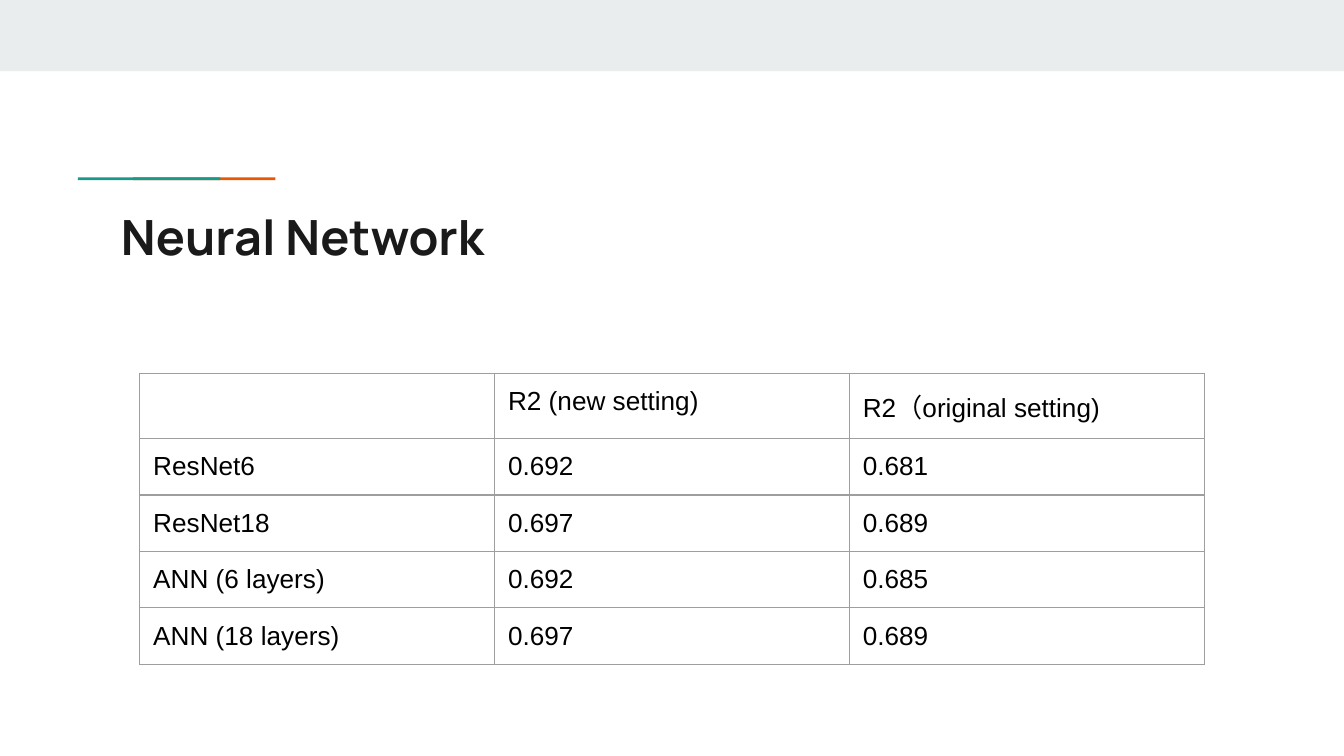
from lxml import etree
from pptx import Presentation
from pptx.dml.color import RGBColor
from pptx.enum.shapes import MSO_SHAPE
from pptx.enum.text import MSO_ANCHOR, PP_ALIGN
from pptx.oxml.ns import qn
from pptx.util import Inches, Pt

RECTANGLE = MSO_SHAPE.RECTANGLE
TOP = MSO_ANCHOR.TOP
LEFT = PP_ALIGN.LEFT

TITLE = "Neural Network"
RESULTS = [
    ("", "R2 (new setting)", "R2（original setting)"),
    ("ResNet6", "0.692", "0.681"),
    ("ResNet18", "0.697", "0.689"),
    ("ANN (6 layers)", "0.692", "0.685"),
    ("ANN (18 layers)", "0.697", "0.689"),
]
THEME = {
    "band": "E9EDEE", "orange": "EB5600", "teal": "1A9988",
    "title": "1A1A1A", "text": "000000", "border": "9E9E9E",
    "title_font": "Manrope", "body_font": "Arial",
    "title_size": 26, "body_size": 14, "border_width": 0.75,
}
BARS = [
    (0, 0, 10, 0.53, "band"),
    (0.99, 1.32, 1.06, 0.02, "orange"),
    (0.58, 1.32, 1.06, 0.02, "teal"),
]
SLIDE_WIDTH = Inches(10)
SLIDE_HEIGHT = SLIDE_WIDTH * 9 // 16
TABLE_LEFT, TABLE_TOP, COLUMN_WIDTH = 1.04, 2.78, 2.64
HEADER_HEIGHT, ROW_HEIGHT = 0.48, 0.42
INSET = Inches(0.1)


def write_text(text_frame, text, font, size, color, bold=False):
    paragraph = text_frame.paragraphs[0]
    paragraph.alignment = LEFT
    run = paragraph.add_run()
    run.text = text
    run.font.name = font
    run.font.size = Pt(size)
    run.font.bold = bold
    run.font.color.rgb = RGBColor.from_string(color)


def set_insets(target):
    target.margin_left = target.margin_right = INSET
    target.margin_top = target.margin_bottom = INSET
    target.vertical_anchor = TOP


def add_bar(slide, left, top, width, height, color):
    shape = slide.shapes.add_shape(
        RECTANGLE, Inches(left), Inches(top), Inches(width), Inches(height))
    shape.shadow.inherit = False
    shape.fill.solid()
    shape.fill.fore_color.rgb = RGBColor.from_string(THEME[color])
    shape.line.fill.background()


def set_borders(cell):
    properties = cell._tc.get_or_add_tcPr()
    for position, side in enumerate(("a:lnL", "a:lnR", "a:lnT", "a:lnB")):
        line = etree.Element(qn(side), w=str(Pt(THEME["border_width"])))
        fill = etree.SubElement(line, qn("a:solidFill"))
        etree.SubElement(fill, qn("a:srgbClr"), val=THEME["border"])
        properties.insert(position, line)


def add_title(slide):
    title = slide.shapes.title
    title.left, title.top = Inches(0.8), Inches(1.44)
    title.width, title.height = Inches(8.41), Inches(0.59)
    title.text_frame.word_wrap = True
    set_insets(title.text_frame)
    write_text(title.text_frame, TITLE, font=THEME["title_font"],
               size=THEME["title_size"], color=THEME["title"], bold=True)


def add_results(slide):
    row_count, column_count = len(RESULTS), len(RESULTS[0])
    heights = [HEADER_HEIGHT] + [ROW_HEIGHT] * (row_count - 1)
    table = slide.shapes.add_table(
        row_count, column_count, Inches(TABLE_LEFT), Inches(TABLE_TOP),
        Inches(COLUMN_WIDTH * column_count), Inches(sum(heights))).table
    table.first_row = table.horz_banding = False
    for column in table.columns:
        column.width = Inches(COLUMN_WIDTH)
    for row, height, values in zip(table.rows, heights, RESULTS):
        row.height = Inches(height)
        for cell, value in zip(row.cells, values):
            set_insets(cell)
            cell.fill.background()
            set_borders(cell)
            write_text(cell.text_frame, value, font=THEME["body_font"],
                       size=THEME["body_size"], color=THEME["text"])


def main():
    presentation = Presentation()
    presentation.slide_width = SLIDE_WIDTH
    presentation.slide_height = SLIDE_HEIGHT
    slide = presentation.slides.add_slide(presentation.slide_layouts[5])
    for bar in BARS:
        add_bar(slide, *bar)
    add_title(slide)
    add_results(slide)
    presentation.save("out.pptx")


if __name__ == "__main__":
    main()
